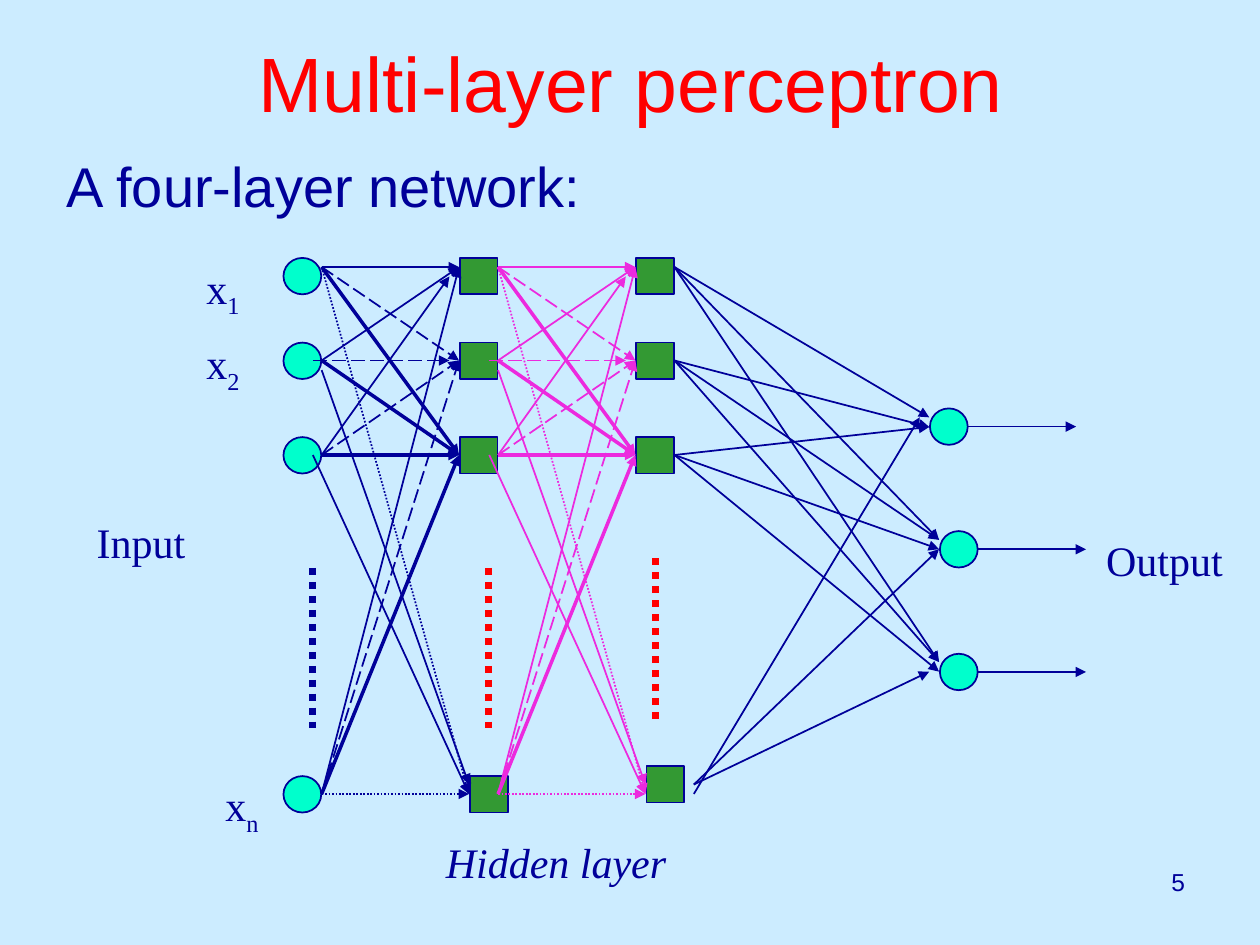
"""Build a slide showing a four-layer perceptron network."""
from lxml import etree
from pptx import Presentation
from pptx.dml.color import RGBColor
from pptx.enum.dml import MSO_LINE
from pptx.enum.shapes import MSO_CONNECTOR, MSO_SHAPE
from pptx.enum.text import MSO_ANCHOR, PP_ALIGN
from pptx.oxml.ns import qn
from pptx.util import Pt

OVAL, RECT = MSO_SHAPE.OVAL, MSO_SHAPE.RECTANGLE
LINE = MSO_CONNECTOR.STRAIGHT
DASH, DOT = MSO_LINE.LONG_DASH, MSO_LINE.ROUND_DOT
LEFT, MID, RIGHT = PP_ALIGN.LEFT, PP_ALIGN.CENTER, PP_ALIGN.RIGHT
TOP, CENTER = MSO_ANCHOR.TOP, MSO_ANCHOR.MIDDLE

SKY = RGBColor(0xCC, 0xEC, 0xFF)
NAVY = RGBColor(0x00, 0x00, 0x99)
AQUA = RGBColor(0x00, 0xFF, 0xCC)
GREEN = RGBColor(0x33, 0x99, 0x33)
PINK = RGBColor(0xEC, 0x2A, 0xDE)
RED = RGBColor(0xFF, 0x00, 0x00)

SANS, SERIF = "Arial", "Times New Roman"


def write(shape, text, sub="", size=24, font=SERIF, color=NAVY, italic=False,
          align=LEFT, anchor=TOP, wrap=False):
    frame = shape.text_frame
    frame.word_wrap = wrap
    frame.vertical_anchor = anchor
    para = frame.paragraphs[0]
    para.alignment = align
    for part in filter(None, (text, sub)):
        run = para.add_run()
        run.text = part
        run.font.size = Pt(size)
        run.font.name = font
        run.font.italic = italic
        run.font.color.rgb = color
    if sub:
        run._r.get_or_add_rPr().set("baseline", "-25000")


def link(start, end, color=NAVY, width=1, dash=None, arrow=True):
    wire = slide.shapes.add_connector(LINE, *map(Pt, start + end))
    wire.line.color.rgb = color
    wire.line.width = Pt(width)
    if dash:
        wire.line.dash_style = dash
    if arrow:
        etree.SubElement(wire.line._get_or_add_ln(), qn("a:tailEnd"), type="triangle")
    etree.SubElement(wire._element.spPr, qn("a:effectLst"))


deck = Presentation()
deck.slide_width, deck.slide_height = Pt(720), Pt(540)
slide = deck.slides.add_slide(deck.slide_layouts[5])
slide.background.fill.solid()
slide.background.fill.fore_color.rgb = SKY

title = slide.shapes.title
title.left, title.top, title.width, title.height = map(Pt, (36.7, 9.4, 648, 75))
write(title, "Multi-layer perceptron", size=44, font=SANS, color=RED,
      align=MID, anchor=CENTER, wrap=True)

labels = [
    ((31, 82.8, 310, 45), "A four-layer network:", dict(size=32, font=SANS)),
    ((110.9, 146.2, 42, 40), "x", dict(sub="1", wrap=True)),
    ((110.9, 189.4, 42, 40), "x", dict(sub="2", wrap=True)),
    ((121.7, 442.1, 42, 40), "x", dict(sub="n", wrap=True)),
    ((48.2, 291.6, 65, 36), "Input", {}),
    ((625, 301.7, 81, 36), "Output", {}),
    ((247.7, 474.5, 146, 36), "Hidden layer", dict(italic=True)),
    ((516.2, 491.8, 168, 37), "5",
     dict(size=14, font=SANS, align=RIGHT, wrap=True)),
]
for box, text, style in labels:
    write(slide.shapes.add_textbox(*map(Pt, box)), text, **style)

STEP = 100.8
ROWS = (147.4, 195.8, 249.8)
ins = [(162, y) for y in ROWS + (443.5,)]
mids = [(262.8 + STEP * k, y) for k in range(2) for y in ROWS]
mids += [(268.6, 443.5), (369.4, 437.8)]
outs = [(531.4, 233.4), (537.1, 303.5), (537.1, 373.6)]
for kind, fill, spots in ((OVAL, AQUA, ins + outs), (RECT, GREEN, mids)):
    for x, y in spots:
        node = slide.shapes.add_shape(kind, Pt(x), Pt(y), Pt(21.6), Pt(20.8))
        node.shadow.inherit = False
        node.fill.solid()
        node.fill.fore_color.rgb = fill
        node.line.color.rgb = NAVY
        node.line.width = Pt(1)

for x, y in outs:
    link((x + 22, y + 10.4), (x + 83.5, y + 10.4))

A, B, C, N = 152.6, 206, 260, 453.7
weave = [
    (0, A, 78.5, A, 1, None), (0, B, 78.5, A, 1, None),
    (0, C, 73, 158, 1, None), (0, N, 78.5, A, 1, None),
    (0, A, 78.5, B, 1, DASH), (-5, B, 73, B, 1, DASH),
    (0, C, 78.5, B, 1, DASH), (0, N, 78.5, B, 1, DASH),
    (0, A, 78.5, C, 2, None), (0, B, 78.5, C, 2, None),
    (0, C, 78.5, C, 2, None), (0, N, 78.5, C, 2, None),
    (0, A, 84.2, N, 1, DOT), (0, 211.5, 84.2, 448.3, 1, None),
    (-5, C, 84.2, N, 1, None), (0, N, 84.2, N, 1, DOT),
]
for left, color in ((183.8, NAVY), (183.8 + STEP, PINK)):
    for x, y, ex, ey, width, dash in weave:
        link((left + x, y), (left + ex, ey), color, width, dash)

fans = [
    ((531, 238.5), (385.4, A)), ((531, 244), (385.4, B)),
    ((531, 244), (385.4, C)), ((525.6, 238.5), (396.5, N)),
    ((536.6, 308.5), (385.4, A)), ((536.6, 308.5), (385.4, B)),
    ((536.6, 313.8), (385.4, C)), ((536.6, 313.8), (396.5, 448.3)),
    ((536.6, 378.3), (385.4, A)), ((536.6, 378.3), (385.4, B)),
    ((536.6, 383.8), (385.4, C)), ((531, 383.8), (396.5, 448.3)),
]
for end, start in fans:
    link(start, end)

for x, y, color in ((178.3, 324.5, NAVY), (279.1, 324.5, RED), (374.4, 319, RED)):
    link((x, y), (x, y + 91.6), color, 4, DOT, False)

deck.save("out.pptx")
